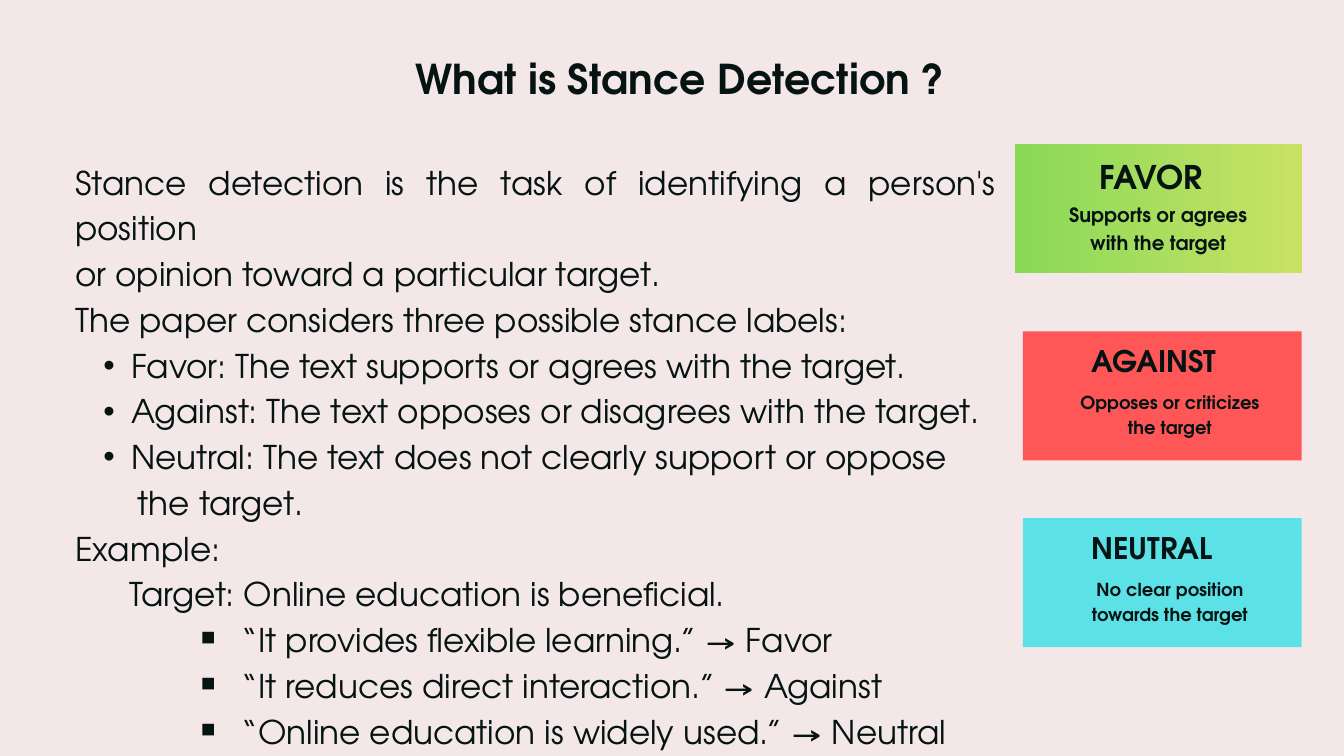
from lxml import etree
from pptx import Presentation
from pptx.dml import color
from pptx.enum import shapes, text
from pptx.oxml import ns
from pptx.util import Inches, Pt

FONT = "TeX Gyre Adventor"
COLORS = {
    "background": "F4E7E7", "ink": "061313",
    "favor": ("89D957", "C9E265"), "against": "FF5757", "neutral": "5CE1E6",
}

TITLE = "What is Stance Detection ?"

# Body lines: (style, text)
BODY = [
    ("plain", "Stance detection is the task of identifying a person's position"),
    ("plain", "or opinion toward a particular target."),
    ("plain", "The paper considers three possible stance labels:"),
    ("label", "Favor: The text supports or agrees with the target."),
    ("label", "Against: The text opposes or disagrees with the target."),
    ("label", "Neutral: The text does not clearly support or oppose"),
    ("continued", "the target."),
    ("plain", "Example:"),
    ("target", "Target: Online education is beneficial."),
    ("example", "“It provides flexible learning.” → Favor"),
    ("example", "“It reduces direct interaction.” → Against"),
    ("example", "“Online education is widely used.” → Neutral"),
]

# Line styles: level, left margin, first-line indent, bullet
STYLES = {
    "plain": (0, 0, 0, None),
    "label": (1, 0.83, -0.41, "•"),
    "continued": (0, 0.93, 0, None),
    "target": (0, 0.8, 0, None),
    "example": (3, 2.48, -0.62, "￭"),
}

CARDS = [
    ("favor", "FAVOR", ["Supports or agrees", "with the target"]),
    ("against", "AGAINST", ["Opposes or criticizes", "the target"]),
    ("neutral", "NEUTRAL", ["No clear position", "towards the target"]),
]

# Card layouts: left edge, then (left, offset from card top, width, height, size, spacing)
WIDE_CARD = {"left": 15.1, "heading": (16.36, 0.09, 1.75, 0.62, 34.9, 48.9),
             "note": (15.83, 0.81, 2.81, 0.78, 21.1, 29.6)}
NARROW_CARD = {"left": 15.22, "heading": (16.24, 0.09, 2.34, 0.57, 31.8, 44.5),
               "note": (15.59, 0.84, 3.64, 0.71, 19.2, 26.9)}
CARD_TOP, CARD_PITCH, CARD_RIGHT, CARD_HEIGHT = 2.15, 2.78, 19.37, 1.92


def rgb(name):
    return color.RGBColor.from_string(name)


def add_text(container, box, lines, size, spacing, align, bold=False):
    """Add a text box of (style, text) lines."""
    shape = container.add_textbox(*map(Inches, box))
    frame = shape.text_frame
    frame_format = {"margin_left": 0, "margin_right": 0, "margin_top": 0, "margin_bottom": 0,
                    "word_wrap": True, "auto_size": text.MSO_AUTO_SIZE.SHAPE_TO_FIT_TEXT}
    for name, value in frame_format.items():
        setattr(frame, name, value)
    for index, (style, line) in enumerate(lines):
        paragraph = frame.paragraphs[0] if index == 0 else frame.add_paragraph()
        level, margin, indent, bullet = STYLES[style]
        properties = paragraph._p.get_or_add_pPr()
        properties.set("marL", str(Inches(margin)))
        properties.set("indent", str(Inches(indent)))
        if bullet:
            etree.SubElement(properties, ns.qn("a:buFont"), typeface="Arial")
            etree.SubElement(properties, ns.qn("a:buChar"), char=bullet)
        for name, value in {"level": level, "alignment": align,
                            "line_spacing": Pt(spacing)}.items():
            setattr(paragraph, name, value)
        run = paragraph.add_run()
        run.text = line
        for name, value in {"name": FONT, "size": Pt(size), "bold": bold}.items():
            setattr(run.font, name, value)
        run.font.color.rgb = rgb(COLORS["ink"])


def add_card(slide, top, stance, heading, note):
    layout = WIDE_CARD if stance == "favor" else NARROW_CARD
    group = slide.shapes.add_group_shape().shapes
    left = layout["left"]
    panel = group.add_shape(shapes.MSO_SHAPE.RECTANGLE,
                            *map(Inches, (left, top, CARD_RIGHT - left, CARD_HEIGHT)))
    panel.shadow.inherit = False
    panel.line.fill.background()
    fill = COLORS[stance]
    if isinstance(fill, tuple):
        panel.fill.gradient()
        panel.fill.gradient_angle = 0
        for stop, position, value in zip(panel.fill.gradient_stops, (0, 1), fill):
            stop.position = position
            stop.color.rgb = rgb(value)
    else:
        panel.fill.solid()
        panel.fill.fore_color.rgb = rgb(fill)
    for part, lines, align in (("heading", [heading], text.PP_ALIGN.LEFT),
                               ("note", note, text.PP_ALIGN.CENTER)):
        x, offset, width, height, size, spacing = layout[part]
        add_text(group, (x, top + offset, width, height),
                 [("plain", line) for line in lines], size, spacing, align, bold=True)


def main():
    presentation = Presentation()
    presentation.slide_width, presentation.slide_height = Inches(20), Inches(11.25)
    slide = presentation.slides.add_slide(presentation.slide_layouts[6])
    slide.background.fill.solid()
    slide.background.fill.fore_color.rgb = rgb(COLORS["background"])

    # Body and title
    add_text(slide.shapes, (1.12, 2.32, 13.71, 8.09), BODY, 35, 49, text.PP_ALIGN.JUSTIFY)
    add_text(slide.shapes, (6.19, 0.67, 9.38, 0.83), [("plain", TITLE)], 44, 61.6,
             text.PP_ALIGN.LEFT, bold=True)

    # Stance cards
    for row, card in enumerate(CARDS):
        add_card(slide, CARD_TOP + row * CARD_PITCH, *card)

    presentation.save("out.pptx")


if __name__ == "__main__":
    main()
